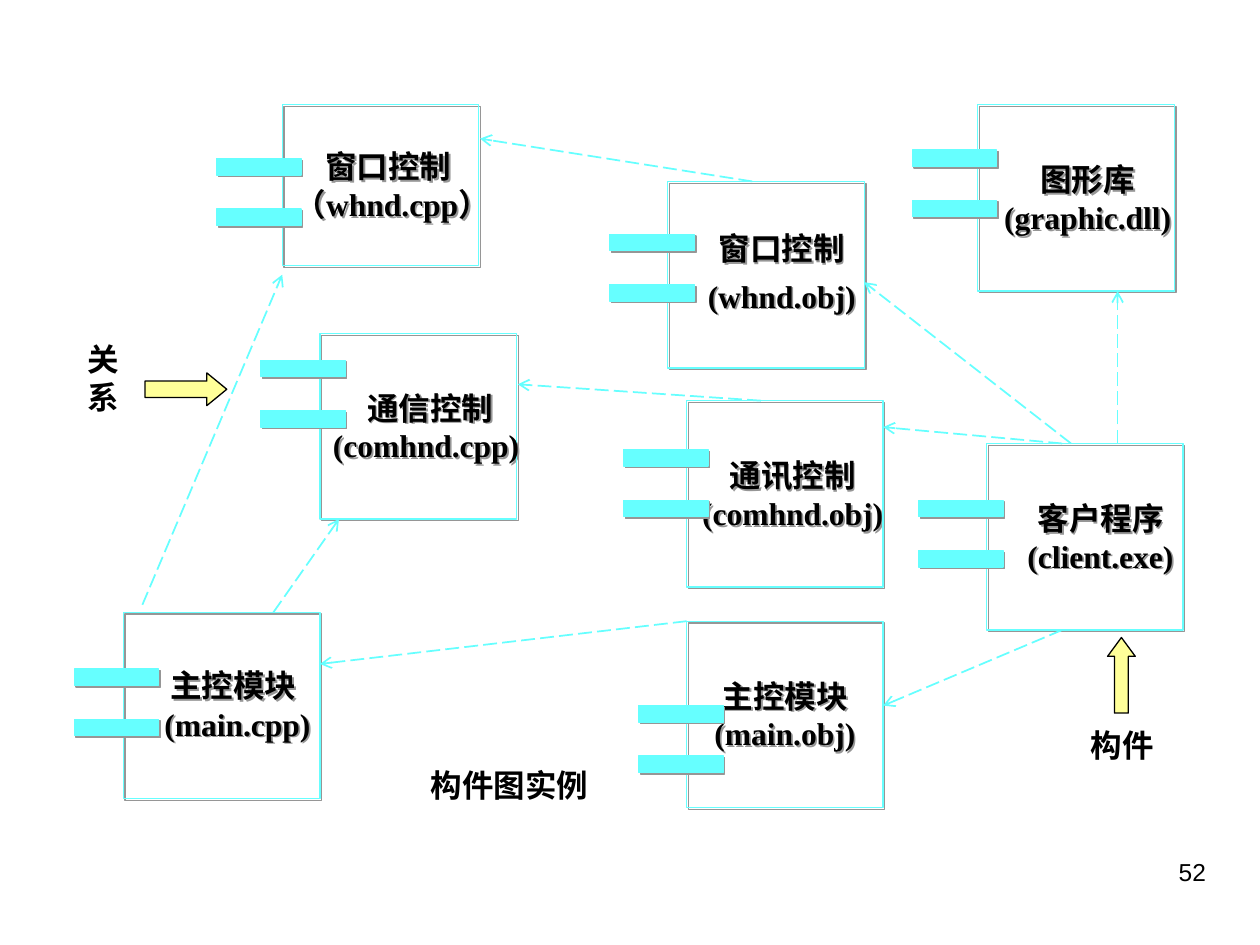
from lxml import etree
from pptx import Presentation
from pptx.dml.color import RGBColor
from pptx.enum.dml import MSO_LINE
from pptx.enum.shapes import MSO_CONNECTOR, MSO_SHAPE
from pptx.enum.text import MSO_ANCHOR, PP_ALIGN
from pptx.oxml import parse_xml
from pptx.oxml.ns import qn
from pptx.util import Inches, Pt

RECT, UP, RIGHT = MSO_SHAPE.RECTANGLE, MSO_SHAPE.UP_ARROW, MSO_SHAPE.RIGHT_ARROW
STRAIGHT, LONG_DASH = MSO_CONNECTOR.STRAIGHT, MSO_LINE.LONG_DASH
MIDDLE = MSO_ANCHOR.MIDDLE
LEFT, CENTER, RIGHT_ALIGNED = PP_ALIGN.LEFT, PP_ALIGN.CENTER, PP_ALIGN.RIGHT
CYAN, YELLOW, BLACK = "66FFFF", "FFFF99", "000000"
SHADOW = (
    '<a:effectLst xmlns:a="http://schemas.openxmlformats.org/drawingml/2006/main">'
    '<a:outerShdw dist="17780" dir="2700000" algn="ctr" rotWithShape="0">'
    '<a:srgbClr val="969696"/></a:outerShdw></a:effectLst>'
)
SPACE_WIDTH = 4.5


def color(value):
    return RGBColor.from_string(value)


def write(paragraph, words, size=18, typeface="Times New Roman", bold=True):
    run = paragraph.add_run()
    run.text = words
    run.font.size = Pt(size)
    run.font.bold = bold
    run.font.color.rgb = color(BLACK)
    run.font.name = typeface
    return run


prs = Presentation()
prs.slide_width, prs.slide_height = Inches(10), Inches(7.5)
slide = prs.slides.add_slide(prs.slide_layouts[6])
shapes = slide.shapes

# left, top, height, tab left, tab top, name, name indent, file, file indent, line spacing, space after
components = [
    (2.24, 0.83, 1.28, 1.72, 1.26, "窗口控制", 2, "（whnd.cpp）", 3, 1, 0),
    (2.54, 2.65, 1.47, 2.07, 2.86, "通信控制", 3, "(comhnd.cpp)", 2, 1, 0),
    (0.98, 4.86, 1.48, 0.59, 5.31, "主控模块", 3, "(main.cpp)", 4, 0.95, 0),
    (5.3, 1.44, 1.48, 4.84, 1.86, "窗口控制", 4, "(whnd.obj)", 4, 0.85, 5.6),
    (5.45, 3.18, 1.48, 4.95, 3.57, "通讯控制", 2, "(comhnd.obj)", 2, 1, 0),
    (5.45, 4.93, 1.48, 5.07, 5.6, "主控模块", 0, "(main.obj)", 0, 1, 0),
    (7.76, 0.83, 1.48, 7.24, 1.19, "图形库", 3, "(graphic.dll)", 3, 1, 0),
    (7.83, 3.52, 1.48, 7.29, 3.97, "客户程序", 4, "(client.exe)", 4, 1, 0),
]
for (left, top, height, tab_left, tab_top, name, name_indent,
     file_name, file_indent, spacing, after) in components:
    parts = [
        (left, top, 1.56, height),
        (tab_left, tab_top, 0.67, 0.13),
        (tab_left, tab_top + 0.4, 0.67, 0.13),
    ]
    for index, bounds in enumerate(parts):
        part = shapes.add_shape(RECT, *map(Inches, bounds))
        part.line.color.rgb = color(CYAN)
        part.line.width = Pt(0.75)
        part.shadow.inherit = False
        properties = part._element.spPr
        properties.replace(properties.find(qn("a:effectLst")), parse_xml(SHADOW))
        if index:
            part.fill.solid()
            part.fill.fore_color.rgb = color(CYAN)
            continue
        part.fill.background()
        frame = part.text_frame
        frame.word_wrap = False
        frame.vertical_anchor = MIDDLE
        heading = frame.paragraphs[0]
        heading.line_spacing = spacing
        heading.space_after = Pt(after)
        for paragraph, words, indent in (
            (heading, name, name_indent),
            (frame.add_paragraph(), file_name, file_indent),
        ):
            paragraph.alignment = CENTER
            paragraph._p.get_or_add_pPr().set("marL", str(Pt(indent * SPACE_WIDTH)))
            write(paragraph, words)

dependencies = [
    (1.13, 4.8, 2.24, 2.18),
    (2.17, 4.86, 2.69, 4.12),
    (5.45, 4.93, 2.54, 5.27),
    (8.43, 5, 7.01, 5.6),
    (6.04, 3.18, 4.11, 3.05),
    (5.97, 1.44, 3.81, 1.1),
    (8.43, 3.52, 7.01, 3.39),
    (8.5, 3.52, 6.86, 2.24),
    (8.87, 3.52, 8.87, 2.31),
]
for ends in dependencies:
    dependency = shapes.add_connector(STRAIGHT, *map(Inches, ends))
    dependency.line.color.rgb = color(CYAN)
    dependency.line.width = Pt(1)
    dependency.line.dash_style = LONG_DASH
    etree.SubElement(dependency.line._get_or_add_ln(), qn("a:tailEnd"), type="arrow")
    etree.SubElement(dependency._element.spPr, qn("a:effectLst"))

for preset, bounds, head_length in (
    (UP, (8.79, 5.06, 0.22, 0.6), 0.68),
    (RIGHT, (1.15, 2.96, 0.65, 0.26), 0.61),
):
    pointer = shapes.add_shape(preset, *map(Inches, bounds))
    pointer.adjustments[0] = 0.5
    pointer.adjustments[1] = head_length
    pointer.fill.solid()
    pointer.fill.fore_color.rgb = color(YELLOW)
    pointer.line.color.rgb = color(BLACK)
    pointer.line.width = Pt(0.75)
    pointer.shadow.inherit = False

labels = [
    ("构件图实例", (3.32, 6.03, 1.45, 0.4), False, True, LEFT, {}),
    ("构件", (8.56, 5.71, 0.94, 0.4), True, False, LEFT, {}),
    ("关系", (0.6, 2.65, 0.54, 0.7), True, False, LEFT, {}),
    ("52", (7.17, 6.75, 2.5, 0.52), True, False, RIGHT_ALIGNED,
     {"size": 14, "typeface": "Arial", "bold": False}),
]
for words, bounds, wraps, shadowed, alignment, style in labels:
    frame = shapes.add_textbox(*map(Inches, bounds)).text_frame
    frame.word_wrap = wraps
    frame.paragraphs[0].alignment = alignment
    run = write(frame.paragraphs[0], words, **style)
    if shadowed:
        run.font._element.insert(1, parse_xml(SHADOW))

prs.save("out.pptx")
